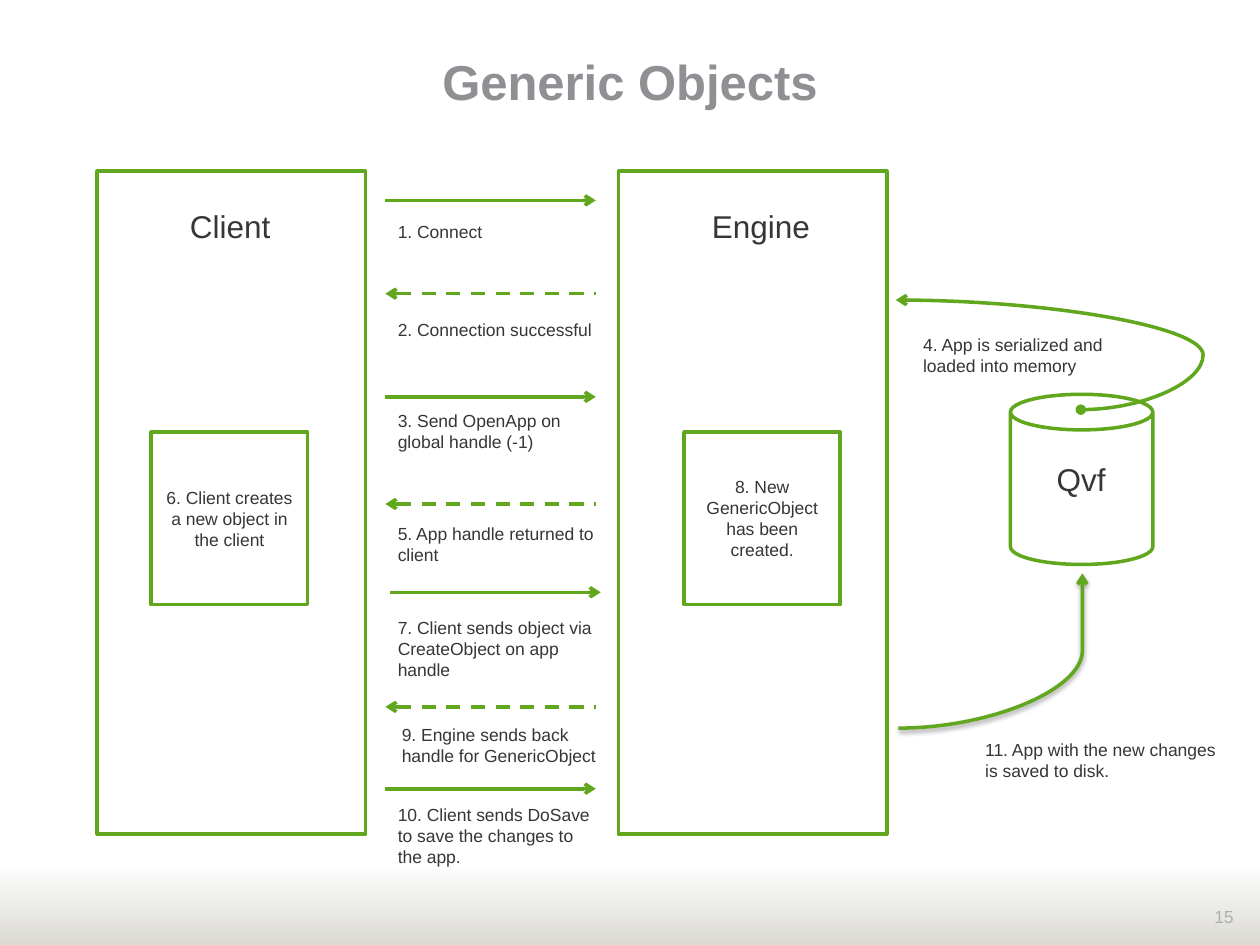
"""Build the Generic Objects slide: client, engine and file exchange."""
from lxml.etree import SubElement
from pptx import Presentation
from pptx.dml.color import RGBColor
from pptx.enum.dml import MSO_LINE as Dash
from pptx.enum.shapes import MSO_CONNECTOR as Wire, MSO_SHAPE as Shape
from pptx.enum.text import MSO_ANCHOR as Anchor, PP_ALIGN as Align
from pptx.oxml.ns import qn
from pptx.util import Cm, Pt

GREEN, DARK, GREY, PALE, WHITE = "61A71E", "363636", "8E9093", "AFAFAF", "FFFFFF"
hue = RGBColor.from_string


def write(shape, text, size=10, tint=DARK, align=Align.LEFT, wrap=True, bold=False):
    frame = shape.text_frame
    frame.word_wrap = wrap
    para = frame.paragraphs[0]
    para.text = text
    para.alignment = align
    font = para.font
    font.name, font.size, font.bold = "Arial", Pt(size), bold
    font.color.rgb = hue(tint)
    return frame


def join(kind, ends, head=None, tail=None, bend=None):
    link = shapes.add_connector(kind, *map(Cm, ends))
    link.line.color.rgb = hue(GREEN)
    link.line.width = Pt(2)
    if head and not bend:
        link.line.dash_style = Dash.DASH
    pen = link.line._get_or_add_ln()
    for tag, tip in (("a:headEnd", head), ("a:tailEnd", tail)):
        if tip:
            SubElement(pen, qn(tag), type=tip)
    props = link._element.spPr
    if bend:
        guides = props.find(qn("a:prstGeom")).find(qn("a:avLst"))
        SubElement(guides, qn("a:gd"), name="adj1", fmla=f"val {bend}")
    return SubElement(props, qn("a:effectLst"))


deck = Presentation()
deck.slide_width, deck.slide_height = Cm(25.4), Cm(19.05)
shapes = deck.slides.add_slide(deck.slide_layouts[6]).shapes

band = shapes.add_shape(Shape.RECTANGLE, 0, Cm(17.37), Cm(25.4), Cm(1.68))
band.shadow.inherit = False
band.line.fill.background()
band.fill.gradient()
band.fill.gradient_angle = 270
for stop, tint, place in zip(band.fill.gradient_stops, (WHITE, "DBDAD5"), (0, 1)):
    stop.color.rgb, stop.position = hue(tint), place

page = shapes.add_textbox(Cm(22.83), Cm(18.14), Cm(2.29), Cm(0.69))
write(page, "15", tint=PALE, align=Align.RIGHT)
title = shapes.add_textbox(0, Cm(1.04), Cm(25.4), Cm(1.19))
frame = write(title, "Generic Objects", 28, GREY, Align.CENTER, bold=True)
frame.margin_left = frame.margin_right = frame.margin_top = frame.margin_bottom = 0

for kind, area, text in (
    (Shape.RECTANGLE, (1.96, 3.45, 5.41, 13.36), ""),
    (Shape.RECTANGLE, (12.47, 3.45, 5.41, 13.36), ""),
    (Shape.CAN, (20.37, 7.95, 2.87, 3.43), ""),
    (Shape.RECTANGLE, (3.05, 8.71, 3.15, 3.48), "6. Client creates a new object in the client"),
    (Shape.RECTANGLE, (13.79, 8.71, 3.15, 3.48), "8. New GenericObject has been created."),
):
    box = shapes.add_shape(kind, *map(Cm, area))
    box.shadow.inherit = False
    box.fill.solid()
    box.fill.fore_color.rgb = hue(WHITE)
    box.line.color.rgb = hue(GREEN)
    box.line.width = Pt(2)
    if text:
        write(box, text, align=Align.CENTER).vertical_anchor = Anchor.MIDDLE

for text, left, top, width, align, wrap in (
    ("Client", 3.58, 4.04, 2.16, Align.LEFT, False),
    ("Engine", 14.1, 4.04, 2.51, Align.LEFT, False),
    ("Qvf", 20.55, 9.14, 2.49, Align.CENTER, True),
):
    label = shapes.add_textbox(Cm(left), Cm(top), Cm(width), Cm(1.02))
    write(label, text, 18, align=align, wrap=wrap)

for left, top, back in (
    (7.77, 4.04, False),
    (7.77, 5.92, True),
    (7.77, 8, False),
    (7.77, 10.16, True),
    (7.87, 11.94, False),
    (7.77, 14.25, True),
    (7.77, 15.9, False),
):
    tips = {"head" if back else "tail": "arrow"}
    join(Wire.STRAIGHT, (left, top, left + 4.24, top), **tips)

join(Wire.CURVE, (21.79, 8.26, 18.06, 6.05), "oval", "arrow", -66100)
glow = join(Wire.CURVE, (18.11, 14.68, 21.82, 11.56), tail="arrow", bend=100000)
shade = SubElement(glow, qn("a:outerShdw"), blurRad=str(Pt(3.1)), dist=str(Pt(1.6)),
                   dir="5400000", rotWithShape="0")
black = SubElement(shade, qn("a:srgbClr"), val="000000")
SubElement(black, qn("a:alpha"), val="38000")

for left, top, width, rows, text in (
    (7.77, 4.34, 4.24, 1, "1. Connect"),
    (7.77, 6.3, 4.45, 1, "2. Connection successful"),
    (7.77, 8.15, 4.45, 2, "3. Send OpenApp on global handle (-1)"),
    (18.36, 6.6, 5.23, 2, "4. App is serialized and loaded into memory"),
    (7.77, 10.41, 4.45, 2, "5. App handle returned to client"),
    (7.77, 12.32, 4.45, 3, "7. Client sends object via CreateObject on app handle"),
    (7.85, 14.48, 4.45, 2, "9. Engine sends back handle for GenericObject"),
    (7.77, 16.08, 4.45, 3, "10. Client sends DoSave to save the changes to the app."),
    (19.61, 14.78, 5.23, 2, "11. App with the new changes is saved to disk."),
):
    note = shapes.add_textbox(Cm(left), Cm(top), Cm(width), Cm(0.26 + 0.43 * rows))
    write(note, text)

deck.save("out.pptx")
